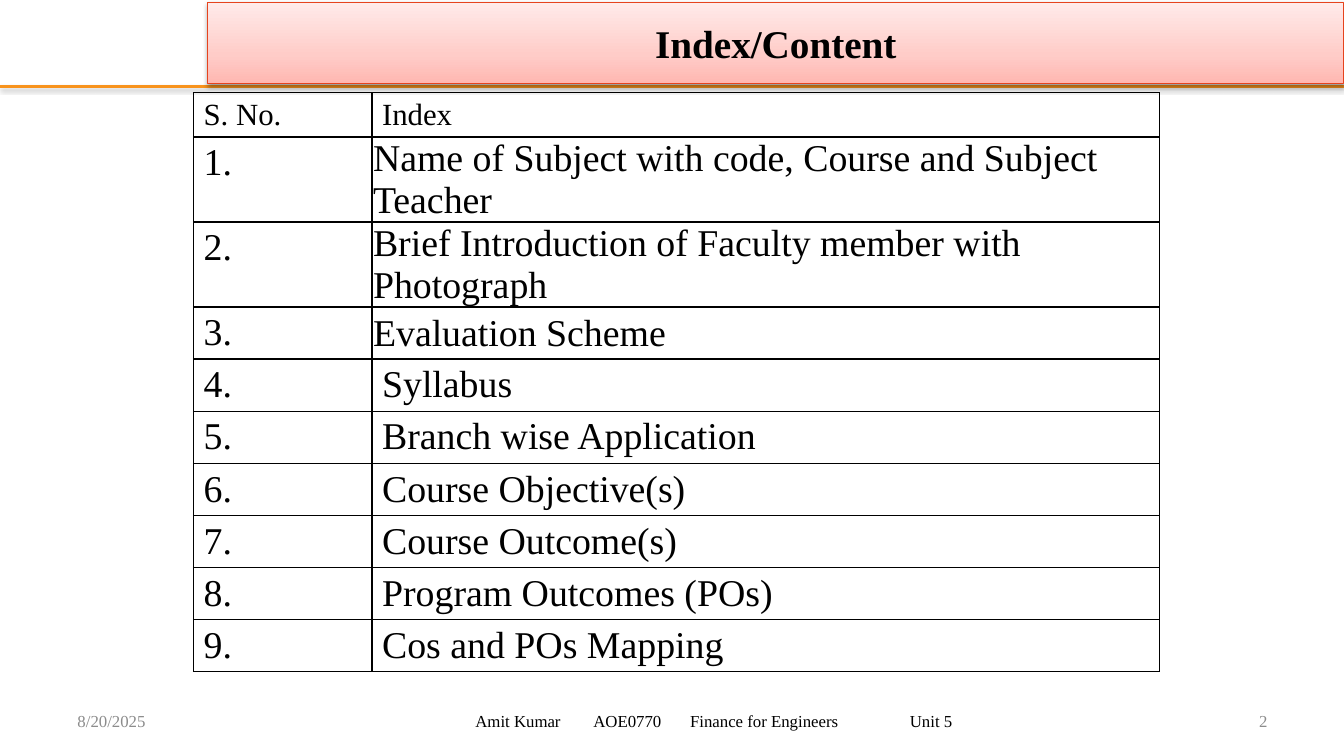
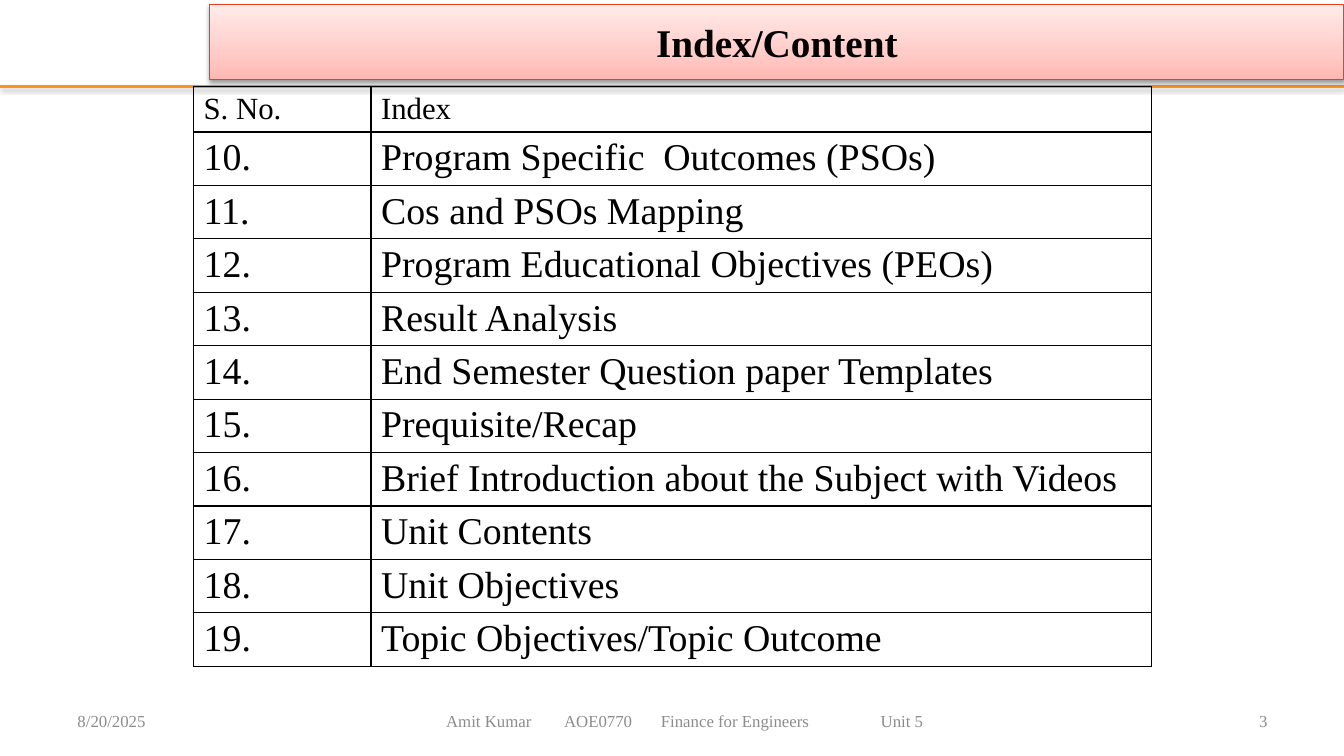
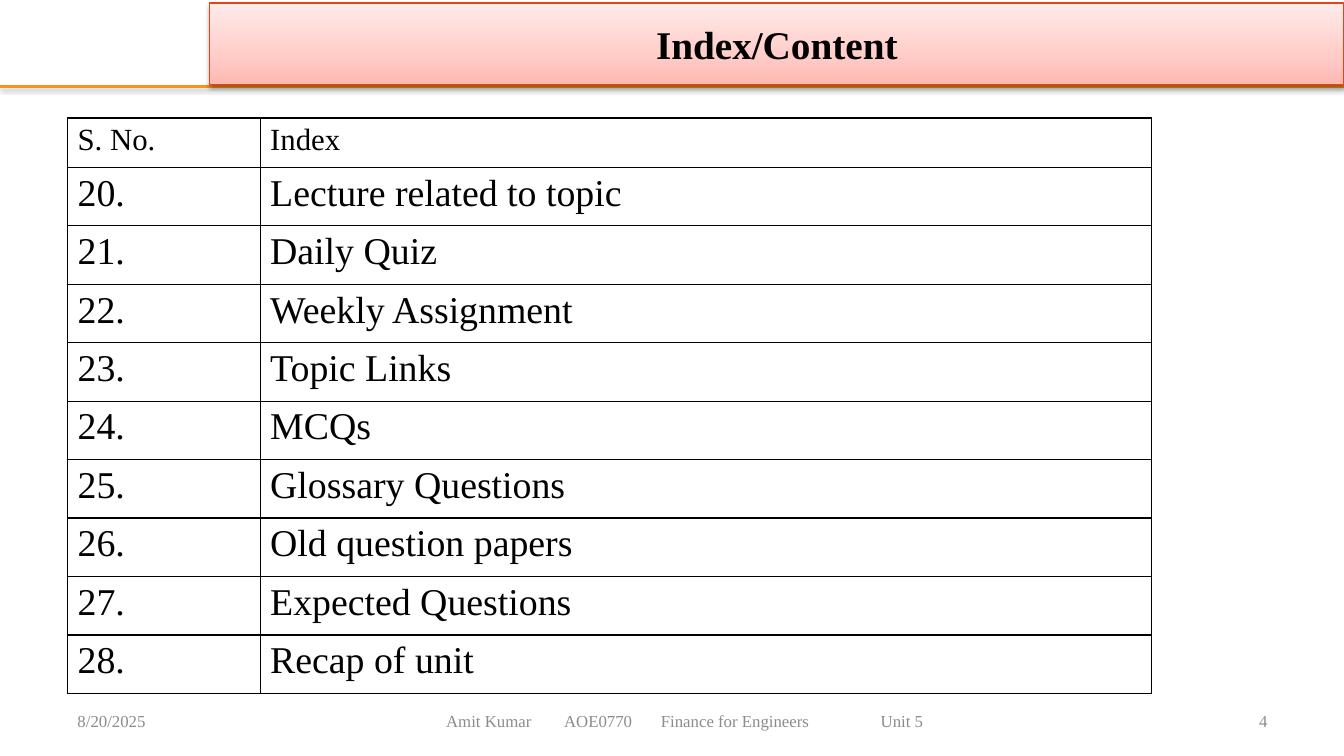
"""Build three index slides with a shared title band, rule and footer."""
from copy import deepcopy
from dataclasses import dataclass

from lxml import etree
from pptx import Presentation
from pptx import util as u
from pptx.dml.color import RGBColor
from pptx.enum import shapes, text
from pptx.oxml.ns import qn

FONT = "Times New Roman"
BLACK, GREY, ORANGE, RED = "000000", "8C8C8C", "F8931D", "E6431D"
BAND_STOPS = ((0, "FFB7B1"), (0.35, "FFCCC8"), (1, "FFEBEA"))
SLIDE_WIDTH, SLIDE_HEIGHT = 13.33, 7.5
RULE_TOP = 0.86
FOOTER_TOP, FOOTER_HEIGHT = 6.95, 0.4
FOOTER_PARTS = ("Amit Kumar", "AOE0770", "Finance for Engineers", "Unit 5")
FOOTER_TABS = (1.17, 2.13, 4.31)
FOOTER_LENGTH = 4.73
CELL_INSET = 0.01


@dataclass(frozen=True)
class Box:
    left: float
    top: float
    width: float
    height: float

    def lengths(self) -> tuple:
        return tuple(u.Inches(n) for n in (self.left, self.top, self.width, self.height))


@dataclass(frozen=True)
class IndexPage:
    number: int
    band: Box
    footer_left: float
    footer_width: float
    table_left: float
    table_top: float
    columns: tuple[float, float]
    header_height: float
    row_height: float
    first_entry: int
    entries: tuple[str, ...]
    footer_color: str = GREY
    tight_rows: int = 0
    tall_rows: int = 0
    tall_height: float = 0.84


PAGES = (
    IndexPage(2, Box(2.06, 0.02, 11.27, 0.81), 3.58, 7, 1.92, 0.92, (1.77, 7.81), 0.43, 0.51, 1, (
        "Name of Subject with code, Course and Subject Teacher",
        "Brief Introduction of Faculty member with Photograph",
        "Evaluation Scheme",
        "Syllabus",
        "Branch wise Application",
        "Course Objective(s)",
        "Course Outcome(s)",
        "Program Outcomes (POs)",
        "Cos and POs Mapping",
    ), footer_color=BLACK, tight_rows=3, tall_rows=2),
    IndexPage(3, Box(2.08, 0.04, 11.25, 0.75), 2.75, 8.08, 1.92, 0.86, (1.76, 7.74), 0.45, 0.53, 10, (
        "Program Specific  Outcomes (PSOs)",
        "Cos and PSOs Mapping",
        "Program Educational Objectives (PEOs)",
        "Result Analysis",
        "End Semester Question paper Templates",
        "Prequisite/Recap",
        "Brief Introduction about the Subject with Videos",
        "Unit Contents",
        "Unit Objectives",
        "Topic Objectives/Topic Outcome",
    )),
    IndexPage(4, Box(2.08, 0.03, 11.25, 0.81), 3.33, 6.92, 0.67, 1.17, (1.91, 8.84), 0.49, 0.58, 20, (
        "Lecture related to topic",
        "Daily Quiz",
        "Weekly Assignment",
        "Topic Links",
        "MCQs",
        "Glossary Questions",
        "Old question papers",
        "Expected Questions",
        "Recap of unit",
    )),
)


def color(value: str) -> RGBColor:
    return RGBColor.from_string(value)


def add_element(parent, tag: str, **attributes):
    return etree.SubElement(parent, qn(tag), attributes)


def add_run(para, words: str, size: float, shade: str = BLACK, bold: bool = False) -> None:
    span = para.add_run()
    span.text = words
    span.font.name = FONT
    span.font.size = u.Pt(size)
    span.font.bold = bold
    span.font.color.rgb = color(shade)


def add_shadow(properties) -> None:
    effects = properties.find(qn("a:effectLst"))
    if effects is None:
        effects = add_element(properties, "a:effectLst")
    shadow = add_element(effects, "a:outerShdw", blurRad="40000", dist="20000",
                         dir="5400000", rotWithShape="0")
    shade = add_element(shadow, "a:srgbClr", val=BLACK)
    add_element(shade, "a:alpha", val="38000")


def add_rule(page) -> None:
    top = u.Inches(RULE_TOP)
    rule = page.shapes.add_connector(shapes.MSO_CONNECTOR.STRAIGHT, 0, top, u.Inches(SLIDE_WIDTH), top)
    rule.line.color.rgb = color(ORANGE)
    rule.line.width = u.Pt(2)
    add_shadow(rule._element.spPr)


def add_title_band(page, place: Box) -> None:
    band = page.shapes.add_shape(shapes.MSO_SHAPE.RECTANGLE, *place.lengths())
    band.fill.gradient()
    band.fill.gradient_angle = 90
    stop_list = band._element.spPr.find(".//" + qn("a:gsLst"))
    stop_list.append(deepcopy(stop_list[-1]))
    for stop, (position, shade) in zip(band.fill.gradient_stops, BAND_STOPS):
        stop.position = position
        stop.color.rgb = color(shade)
    band.line.color.rgb = color(RED)
    band.line.width = u.Pt(0.75)
    band.shadow.inherit = False
    add_shadow(band._element.spPr)
    band.text_frame.vertical_anchor = text.MSO_ANCHOR.MIDDLE
    para = band.text_frame.paragraphs[0]
    para.alignment = text.PP_ALIGN.CENTER
    add_run(para, "Index/Content", 28, bold=True)


def add_footer_box(page, left: float, width: float):
    place = Box(left, FOOTER_TOP, width, FOOTER_HEIGHT)
    frame = page.shapes.add_textbox(*place.lengths()).text_frame
    frame.word_wrap = True
    frame.vertical_anchor = text.MSO_ANCHOR.MIDDLE
    return frame


def add_footer(page, plan: IndexPage) -> None:
    date = add_footer_box(page, 0.67, 1.92)
    add_run(date.paragraphs[0], "8/20/2025", 12, GREY)

    course = add_footer_box(page, plan.footer_left, plan.footer_width)
    course.margin_left = u.Inches((plan.footer_width - FOOTER_LENGTH) / 2)
    para = course.paragraphs[0]
    tabs = add_element(para._p.get_or_add_pPr(), "a:tabLst")
    for stop in FOOTER_TABS:
        add_element(tabs, "a:tab", pos=str(u.Inches(stop)), algn="l")
    add_run(para, "\t".join(FOOTER_PARTS), 12, plan.footer_color)

    number = add_footer_box(page, 11, 1.67)
    number.paragraphs[0].alignment = text.PP_ALIGN.RIGHT
    add_run(number.paragraphs[0], str(plan.number), 12, GREY)


def style_cell(cell) -> None:
    properties = cell._tc.get_or_add_tcPr()
    for side in ("a:lnL", "a:lnR", "a:lnT", "a:lnB"):
        border = add_element(properties, side, w=str(u.Pt(1)))
        fill = add_element(border, "a:solidFill")
        add_element(fill, "a:srgbClr", val=BLACK)
    cell.fill.background()


def add_index_table(page, plan: IndexPage) -> None:
    rows = [("S. No.", "Index")]
    rows += [(f"{number}.", entry) for number, entry in enumerate(plan.entries, plan.first_entry)]
    regular_rows = len(plan.entries) - plan.tall_rows
    heights = [plan.header_height] + [plan.tall_height] * plan.tall_rows + [plan.row_height] * regular_rows
    place = Box(plan.table_left, plan.table_top, sum(plan.columns), sum(heights))
    table = page.shapes.add_table(len(rows), len(plan.columns), *place.lengths()).table
    table.first_row = table.horz_banding = False
    for column, width in zip(table.columns, plan.columns):
        column.width = u.Inches(width)
    for index, (words, height) in enumerate(zip(rows, heights)):
        table.rows[index].height = u.Inches(height)
        for cell, content in zip(table.rows[index].cells, words):
            style_cell(cell)
            add_run(cell.text_frame.paragraphs[0], content, 27 if index else 22)
        if 1 <= index <= plan.tight_rows:
            entry = table.cell(index, 1)
            entry.vertical_anchor = text.MSO_ANCHOR.MIDDLE
            entry.margin_left = entry.margin_right = entry.margin_top = u.Inches(CELL_INSET)
            entry.margin_bottom = 0


def main() -> None:
    deck = Presentation()
    deck.slide_width = u.Inches(SLIDE_WIDTH)
    deck.slide_height = u.Inches(SLIDE_HEIGHT)
    for plan in PAGES:
        page = deck.slides.add_slide(deck.slide_layouts[6])
        add_rule(page)
        add_title_band(page, plan.band)
        add_index_table(page, plan)
        add_footer(page, plan)
    deck.save("out.pptx")


if __name__ == "__main__":
    main()
